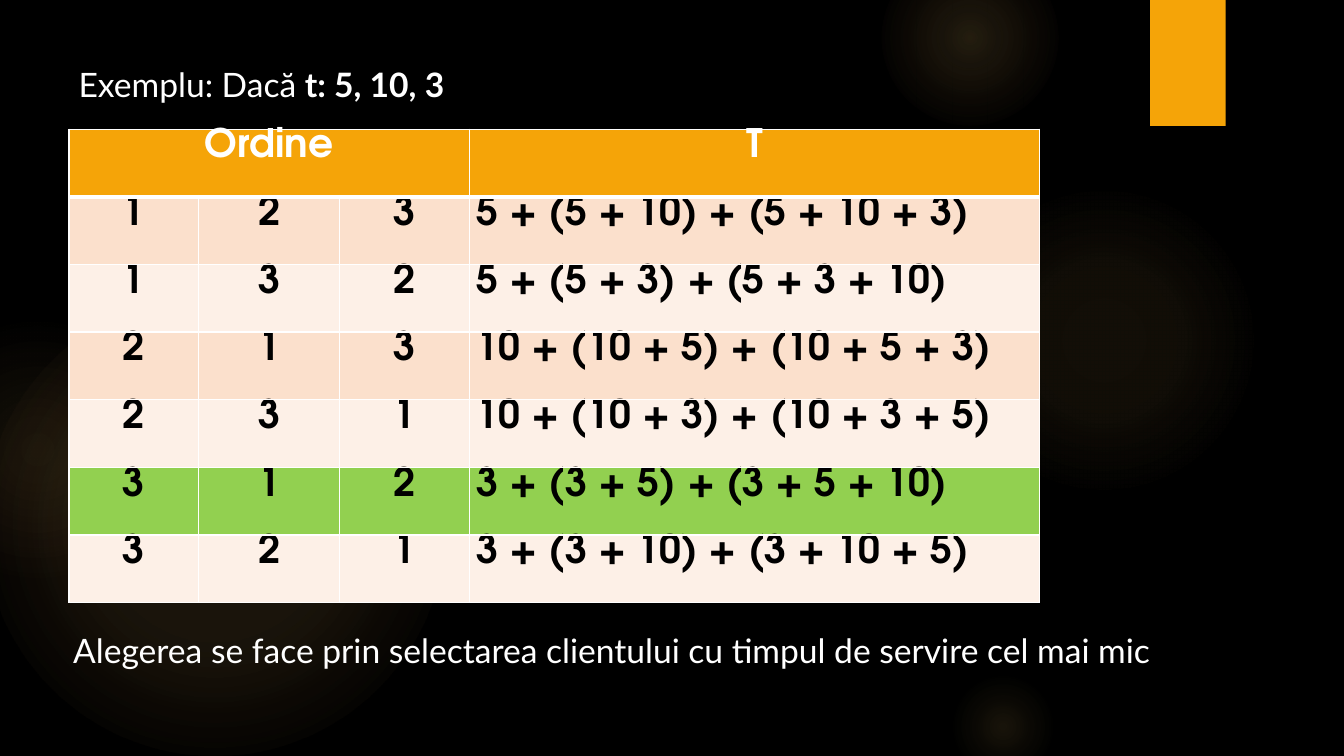
from itertools import accumulate, permutations

from lxml import etree
from pptx import Presentation
from pptx.dml.color import RGBColor
from pptx.enum import shapes, text
from pptx.oxml import ns
from pptx.util import Pt

COLORS = {
    "background": "000000",
    "accent": "F5A408",
    "glow": "FAC96A",
    "glow_edge": "F59B74",
    "light": "FFFFFF",
    "dark": "000000",
    "odd_row": "FBE0CC",
    "even_row": "FDF0E7",
    "best_row": "92D050",
}
BODY_FONT = "Lato"
TABLE_FONT = "TeX Gyre Adventor"
SERVICE_TIMES = {1: 5, 2: 10, 3: 3}
COLUMN_WIDTHS = (92.5, 101, 92.5, 407.5)
ROW_HEIGHT = 48.34
GLOWS = (
    (-12, 210, 330, ((0, 11), (36, 10), (75, 0)), "glow"),
    (-66, 228, 186, ((0, 8), (36, 5), (71, 0)), "glow_edge"),
    (677.5, 132, 222, ((0, 7), (36, 6), (69, 0)), "glow"),
    (630, -36, 126, ((0, 14), (36, 7), (73, 0)), "glow"),
    (677.5, 480, 78, ((0, 10), (31, 5), (66, 0)), "glow"),
)


def rgb(name):
    """Return the named palette colour."""
    return RGBColor.from_string(COLORS[name])


def add_node(parent, tag, **attributes):
    """Append a DrawingML element with the given attributes."""
    values = {key: str(value) for key, value in attributes.items()}
    return etree.SubElement(parent, ns.qn(f"a:{tag}"), values)


def add_plain_shape(slide, kind, left, top, width, height):
    """Add an accent-filled shape without outline or shadow."""
    shape = slide.shapes.add_shape(kind, Pt(left), Pt(top), Pt(width), Pt(height))
    shape.shadow.inherit = False
    shape.line.fill.background()
    shape.fill.solid()
    shape.fill.fore_color.rgb = rgb("accent")
    return shape


def add_glow(slide, left, top, size, stops, edge):
    """Add a round glow that fades out from its centre."""
    glow = add_plain_shape(slide, shapes.MSO_SHAPE.OVAL, left, top, size, size)
    properties = glow.element.spPr
    solid = properties.find(ns.qn("a:solidFill"))
    gradient = etree.Element(ns.qn("a:gradFill"), rotWithShape="1")
    properties.replace(solid, gradient)
    stop_list = add_node(gradient, "gsLst")
    for position, opacity in stops:
        stop = add_node(stop_list, "gs", pos=position * 1000)
        name = "glow" if opacity else edge
        color = add_node(stop, "srgbClr", val=COLORS[name])
        add_node(color, "alpha", val=opacity * 1000)
    center = add_node(gradient, "path", path="circle")
    add_node(center, "fillToRect", l=50000, t=50000, r=50000, b=50000)


def format_run(run, font, size, color, bold):
    """Set the look of one run."""
    run.font.name = font
    run.font.size = Pt(size)
    run.font.color.rgb = rgb(color)
    run.font.bold = bold


def add_sentence(slide, left, top, width, parts):
    """Add a line of text made of (wording, bold) parts."""
    box = slide.shapes.add_textbox(Pt(left), Pt(top), Pt(width), Pt(36))
    box.text_frame.word_wrap = True
    for wording, bold in parts:
        run = box.text_frame.paragraphs[0].add_run()
        run.text = wording
        format_run(run, BODY_FONT, 24, "light", bold)


def style_cell(cell, fill, top=1, bottom=1):
    """Give a cell its margins, white borders and fill."""
    cell.margin_left = cell.margin_right = Pt(5.4)
    cell.margin_top = cell.margin_bottom = 0
    properties = cell._tc.get_or_add_tcPr()
    for side, width in (("L", 1), ("R", 1), ("T", top), ("B", bottom)):
        border = add_node(properties, f"ln{side}", w=Pt(width))
        add_node(add_node(border, "solidFill"), "srgbClr", val=COLORS["light"])
    cell.fill.solid()
    cell.fill.fore_color.rgb = rgb(fill)


def write_cell(cell, wording, color, centered=True):
    """Write bold table text into a cell."""
    cell.text_frame.text = wording
    paragraph = cell.text_frame.paragraphs[0]
    align = text.PP_ALIGN
    paragraph.alignment = align.CENTER if centered else align.LEFT
    format_run(paragraph.runs[0], TABLE_FONT, 28, color, True)


def waiting_sum(order):
    """Spell out the total waiting time for a serving order."""
    times = [str(SERVICE_TIMES[client]) for client in order]
    first, *others = accumulate(times, "{} + {}".format)
    return " + ".join([first] + [f"({group})" for group in others])


def total_wait(order):
    """Return the total waiting time for a serving order."""
    return sum(accumulate(SERVICE_TIMES[client] for client in order))


def add_order_table(slide):
    """Add the table of serving orders, with the best one highlighted."""
    orders = list(permutations(SERVICE_TIMES))
    best = min(orders, key=total_wait)
    row_count = len(orders) + 1
    table = slide.shapes.add_table(
        row_count, len(COLUMN_WIDTHS), Pt(49.3), Pt(92.2),
        Pt(sum(COLUMN_WIDTHS)), Pt(ROW_HEIGHT * row_count),
    ).table
    table.horz_banding = False
    for column, width in zip(table.columns, COLUMN_WIDTHS):
        column.width = Pt(width)
    for row in table.rows:
        row.height = Pt(ROW_HEIGHT)

    for cell in table.rows[0].cells:
        style_cell(cell, "accent", bottom=3)
    table.cell(0, 0).merge(table.cell(0, 2))
    write_cell(table.cell(0, 0), "Ordine", "light")
    write_cell(table.cell(0, 3), "T", "light")

    for number, order in enumerate(orders, 1):
        band = "odd_row" if number % 2 else "even_row"
        fill = "best_row" if order == best else band
        wordings = [*map(str, order), waiting_sum(order)]
        for index, wording in enumerate(wordings):
            cell = table.cell(number, index)
            style_cell(cell, fill, top=3 if number == 1 else 1)
            write_cell(cell, wording, "dark", centered=index < len(order))


def main():
    """Build the slide and save it."""
    deck = Presentation()
    deck.slide_width, deck.slide_height = Pt(960), Pt(540)
    slide = deck.slides.add_slide(deck.slide_layouts[6])
    slide.background.fill.solid()
    slide.background.fill.fore_color.rgb = rgb("background")

    for glow in GLOWS:
        add_glow(slide, *glow)
    add_plain_shape(slide, shapes.MSO_SHAPE.RECTANGLE, 821.5, 0, 54, 90)

    times = ", ".join(map(str, SERVICE_TIMES.values()))
    add_sentence(slide, 49, 41.8, 317.5,
                 [("Exemplu: Dacă ", False), (f"t: {times}", True)])
    add_order_table(slide)
    conclusion = ("Alegerea se face prin selectarea clientului "
                  "cu timpul de servire cel mai mic")
    add_sentence(slide, 45.2, 446.4, 806.4, [(conclusion, False)])
    deck.save("out.pptx")


if __name__ == "__main__":
    main()
